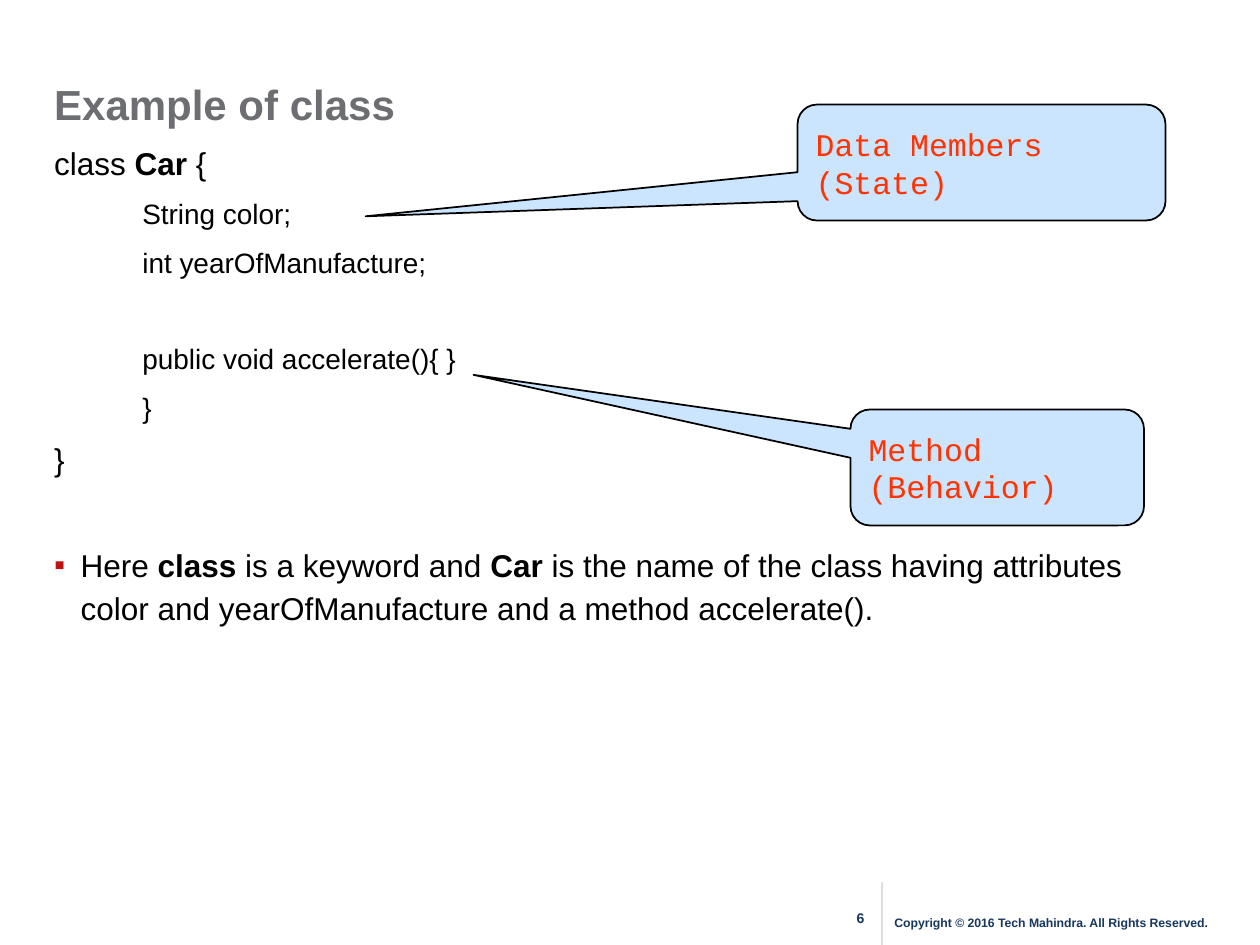
"""Build the "Example of class" slide: a code sample with two callouts."""
from lxml.etree import SubElement
from pptx import Presentation
from pptx.dml.color import RGBColor
from pptx.enum.shapes import MSO_CONNECTOR, MSO_SHAPE
from pptx.enum.text import MSO_ANCHOR, MSO_AUTO_SIZE, PP_ALIGN
from pptx.oxml.ns import qn
from pptx.util import Inches, Pt

COLORS = {
    "title": "6D6E71", "body": "000000", "bullet": "BF1313", "footer": "17375E",
    "divider": "DDDDDD", "callout": "99CCFF", "label": "FF3300", "outline": "000000",
}


def place(part, left, top, width, height):
    part.left, part.top = Inches(left), Inches(top)
    part.width, part.height = Inches(width), Inches(height)


def add_text(paragraph, text, size, color, bold=False, face="Arial"):
    run = paragraph.add_run()
    run.text = text
    formats = {"name": face, "size": Pt(size), "bold": bold}
    for key, value in formats.items():
        setattr(run.font, key, value)
    run.font.color.rgb = RGBColor.from_string(COLORS[color])


prs = Presentation()
prs.slide_width, prs.slide_height = Inches(10), Inches(7.5)
slide = prs.slides.add_slide(prs.slide_layouts[1])
title, body = slide.placeholders

place(title, 0.33, 0.6, 7.33, 0.45)
title.text_frame.auto_size = MSO_AUTO_SIZE.NONE
title.text_frame.vertical_anchor = MSO_ANCHOR.MIDDLE
heading = title.text_frame.paragraphs[0]
heading.alignment = PP_ALIGN.LEFT
add_text(heading, "Example of class", 24, "title", True)

place(body, 0.33, 1.05, 9.17, 6)
body.text_frame.auto_size = MSO_AUTO_SIZE.NONE
lines = [
    (0, 18, 0, ["class ", "Car", " {"]),
    (0.7, 16, 6, ["String color;"]),
    (0.7, 16, 6, ["int yearOfManufacture;"]),
    (0.7, 16, 33, ["public void accelerate(){ }"]),
    (0.7, 16, 6, ["}"]),
    (0, 18, 6, ["}"]),
    (0.21, 18, 36, ["Here ", "class", " is a keyword and ", "Car",
                    " is the name of the class having attributes color and "
                    "yearOfManufacture and a method accelerate()."]),
]
for number, (margin, size, space, pieces) in enumerate(lines):
    line = body.text_frame.paragraphs[0] if number == 0 else body.text_frame.add_paragraph()
    line.line_spacing, line.space_before = 1.14, Pt(space)
    bulleted = pieces[0] == "Here "
    properties = line._p.get_or_add_pPr()
    properties.set("marL", str(Inches(margin)))
    properties.set("indent", str(Inches(-margin if bulleted else 0)))
    if bulleted:
        bullet_color = SubElement(properties, qn("a:buClr"))
        SubElement(bullet_color, qn("a:srgbClr"), val=COLORS["bullet"])
        SubElement(properties, qn("a:buFont"), typeface="Arial")
        SubElement(properties, qn("a:buChar"), char="▪")
    else:
        SubElement(properties, qn("a:buNone"))
    for position, piece in enumerate(pieces):
        add_text(line, piece, size, "body", position % 2 == 1)

callouts = [
    ("Data Members (State)", (6.33, 0.83, 2.92, 0.92), (-1.674, 0.464, 0.167)),
    ("Method (Behavior)", (6.75, 3.25, 2.33, 0.92), (-1.784, -0.799, 0.167)),
]
for label, box, pointer in callouts:
    callout = slide.shapes.add_shape(
        MSO_SHAPE.ROUNDED_RECTANGULAR_CALLOUT, *map(Inches, box))
    for index, value in enumerate(pointer):
        callout.adjustments[index] = value
    callout.shadow.inherit = False
    callout.fill.solid()
    callout.fill.fore_color.rgb = RGBColor.from_string(COLORS["callout"])
    fill_color = callout.fill._xPr.find(qn("a:solidFill")).find(qn("a:srgbClr"))
    SubElement(fill_color, qn("a:alpha"), val="50000")
    callout.line.color.rgb = RGBColor.from_string(COLORS["outline"])
    callout.line.width = Pt(1)
    callout.text_frame.word_wrap = True
    callout.text_frame.vertical_anchor = MSO_ANCHOR.MIDDLE
    caption = callout.text_frame.paragraphs[0]
    caption.alignment = PP_ALIGN.LEFT
    add_text(caption, label, 18, "label", face="Courier New")

divider = slide.shapes.add_connector(
    MSO_CONNECTOR.STRAIGHT, Inches(7), Inches(7), Inches(7), Inches(7.5))
divider.line.color.rgb = RGBColor.from_string(COLORS["divider"])
divider.line.width = Pt(1.5)
SubElement(divider._element.spPr, qn("a:effectLst"))

footers = [
    ("6", 8, (6.58, 7.17, 0.5, 0.3), PP_ALIGN.CENTER, MSO_ANCHOR.TOP),
    ("Copyright © 2016 Tech Mahindra. All Rights Reserved.", 7,
     (7, 7.2, 2.92, 0.25), PP_ALIGN.LEFT, MSO_ANCHOR.MIDDLE),
]
for text, size, box, alignment, anchor in footers:
    footer = slide.shapes.add_textbox(*map(Inches, box))
    footer.text_frame.word_wrap = True
    footer.text_frame.vertical_anchor = anchor
    footer.text_frame.paragraphs[0].alignment = alignment
    add_text(footer.text_frame.paragraphs[0], text, size, "footer", True)

prs.save("out.pptx")
